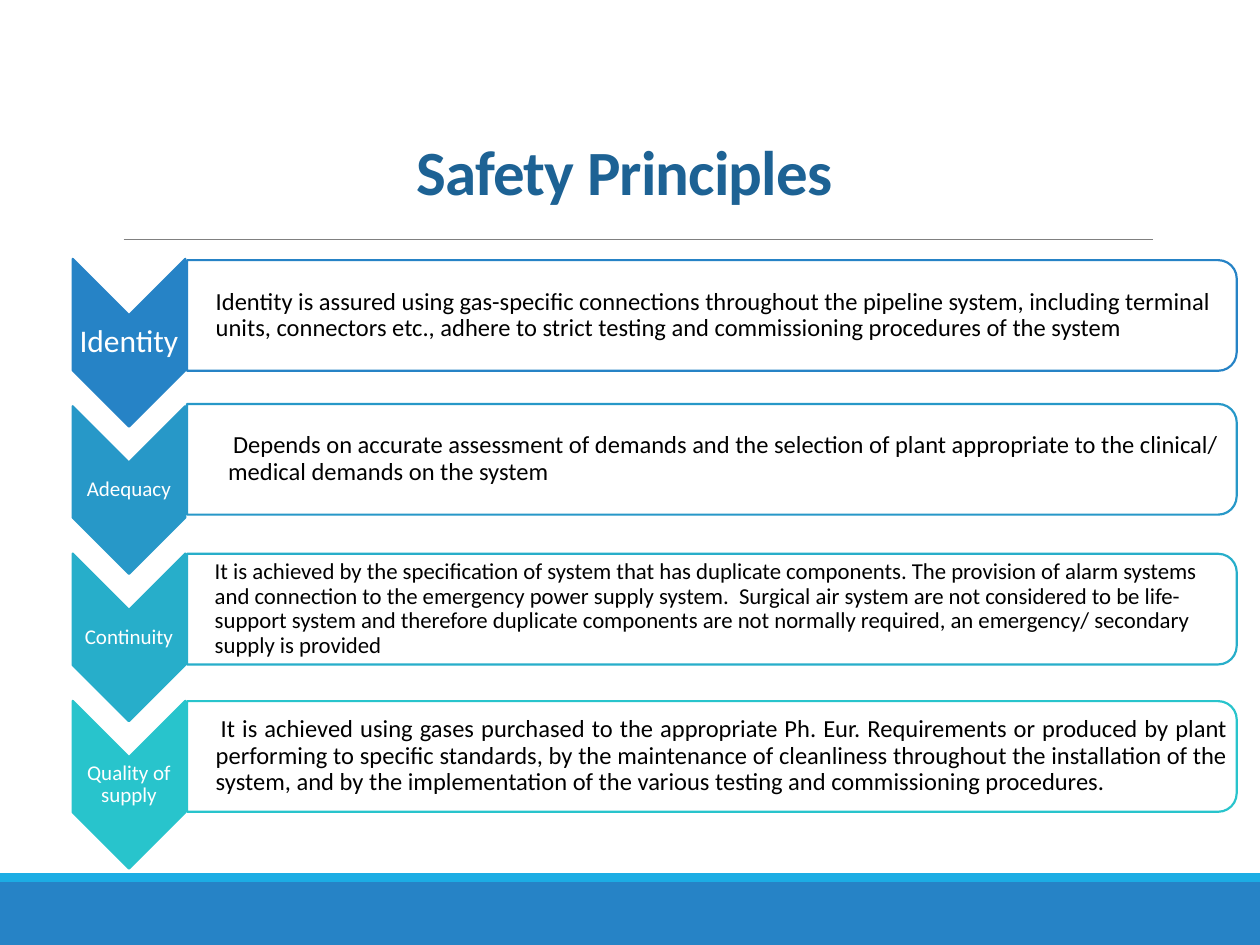
from pptx import Presentation
from pptx.dml.color import RGBColor
from pptx.enum.shapes import MSO_CONNECTOR, MSO_SHAPE
from pptx.enum.text import MSO_ANCHOR, PP_ALIGN
from pptx.oxml.ns import qn
from pptx.util import Cm, Pt
from lxml import etree

COLORS = {
    "title": "1D6294", "rule": "808080", "band": "2683C6", "stripe": "1CADE4",
    "white": "FFFFFF", "black": "000000",
    "identity": "2683C6", "adequacy": "2798C8",
    "continuity": "27AECA", "quality": "28C4CC",
}
TITLE = "Safety Principles"
PRINCIPLES = [
    {"color": "identity", "label": "Identity", "label_size": 18, "detail_size": 14,
     "bar_middle": 6.36, "inset": 0.59, "first_line": 0, "align": PP_ALIGN.LEFT,
     "detail": "Identity is assured using gas-specific connections throughout the pipeline "
               "system, including terminal units, connectors etc., adhere to strict testing "
               "and commissioning procedures of the system"},
    {"color": "adequacy", "label": "Adequacy", "label_size": 12, "detail_size": 14,
     "bar_middle": 9.26, "inset": 0.84, "first_line": 0.1, "align": PP_ALIGN.LEFT,
     "detail": "Depends on accurate assessment of demands and the selection of plant "
               "appropriate to the clinical/ medical demands on the system"},
    {"color": "continuity", "label": "Continuity", "label_size": 12, "detail_size": 13,
     "bar_middle": 12.28, "inset": 0.57, "first_line": 0, "align": PP_ALIGN.LEFT,
     "detail": "It is achieved by the specification of system that has duplicate components. "
               "The provision of alarm systems and connection to the emergency power supply "
               "system.  Surgical air system are not considered to be life-support system and "
               "therefore duplicate components are not normally required, an emergency/ "
               "secondary supply is provided"},
    {"color": "quality", "label": "Quality of supply", "label_size": 12, "detail_size": 14,
     "bar_middle": 15.25, "inset": 0.59, "first_line": 0.1, "align": PP_ALIGN.JUSTIFY,
     "detail": "It is achieved using gases purchased to the appropriate Ph. Eur. Requirements "
               "or produced by plant performing to specific standards, by the maintenance of "
               "cleanliness throughout the installation of the system, and by the "
               "implementation of the various testing and commissioning procedures."},
]
CHEVRON_CENTER, CHEVRON_TOP_MIDDLE, CHEVRON_PITCH = 2.6, 6.91, 2.97
BAR_CENTER = 14.35


def rgb(name):
    return RGBColor.from_string(COLORS[name])


def add_block(slide, preset, center, middle, width, height, fill, line=None, rotation=0):
    block = slide.shapes.add_shape(preset, Cm(center - width / 2), Cm(middle - height / 2),
                                   Cm(width), Cm(height))
    block.shadow.inherit = False
    block.rotation = rotation
    block.fill.solid()
    block.fill.fore_color.rgb = rgb(fill)
    if line:
        block.line.color.rgb = rgb(line)
        block.line.width = Pt(1.25)
    else:
        block.line.fill.background()


def add_text(slide, words, left, middle, width, height, size, color, align,
             inset=0.03, spacing=0.9, bold=False):
    box = slide.shapes.add_textbox(Cm(left), Cm(middle - height / 2), Cm(width), Cm(height))
    frame_format = {
        "word_wrap": True, "vertical_anchor": MSO_ANCHOR.MIDDLE, "margin_left": Cm(inset),
        "margin_right": Cm(0.03), "margin_top": Cm(0.03), "margin_bottom": Cm(0.03),
    }
    for name, value in frame_format.items():
        setattr(box.text_frame, name, value)
    paragraph = box.text_frame.paragraphs[0]
    paragraph.alignment = align
    paragraph.line_spacing = spacing
    run = paragraph.add_run()
    run.text = words
    for name, value in {"name": "Calibri", "size": Pt(size), "bold": bold}.items():
        setattr(run.font, name, value)
    run.font.color.rgb = rgb(color)
    return paragraph


def add_principle(slide, row, principle):
    color = principle["color"]
    chevron_middle = CHEVRON_TOP_MIDDLE + row * CHEVRON_PITCH
    add_block(slide, MSO_SHAPE.CHEVRON, CHEVRON_CENTER, chevron_middle, 3.38, 2.27,
              color, color, 90)
    add_text(slide, principle["label"], CHEVRON_CENTER - 1.14, chevron_middle, 2.28, 1.1,
             principle["label_size"], "white", PP_ALIGN.CENTER)
    add_block(slide, MSO_SHAPE.ROUND_2_SAME_RECTANGLE, BAR_CENTER, principle["bar_middle"],
              2.23, 21.16, "white", color, 90)
    detail = add_text(slide, principle["detail"], 3.76, principle["bar_middle"], 21.03, 2,
                      principle["detail_size"], "black", principle["align"],
                      principle["inset"])
    detail._p.get_or_add_pPr().set("indent", str(Cm(principle["first_line"])))


def main():
    deck = Presentation()
    deck.slide_width, deck.slide_height = Cm(25.4), Cm(19.05)
    slide = deck.slides.add_slide(deck.slide_layouts[6])

    add_block(slide, MSO_SHAPE.RECTANGLE, 12.7, 18.42, 25.4, 1.27, "band")
    add_block(slide, MSO_SHAPE.RECTANGLE, 12.7, 17.69, 25.4, 0.18, "stripe")
    rule = slide.shapes.add_connector(MSO_CONNECTOR.STRAIGHT, Cm(2.49), Cm(4.83),
                                      Cm(23.24), Cm(4.83))
    rule.line.color.rgb = rgb("rule")
    rule.line.width = Pt(0.5)
    etree.SubElement(rule._element.spPr, qn("a:effectLst"))

    title = add_text(slide, TITLE, 2.11, 3.56, 20.96, 2.44, 36, "title", PP_ALIGN.CENTER,
                     spacing=0.85, bold=True)
    title.runs[0].font._element.set("spc", "-50")

    for row, principle in enumerate(PRINCIPLES):
        add_principle(slide, row, principle)

    deck.save("out.pptx")


if __name__ == "__main__":
    main()
